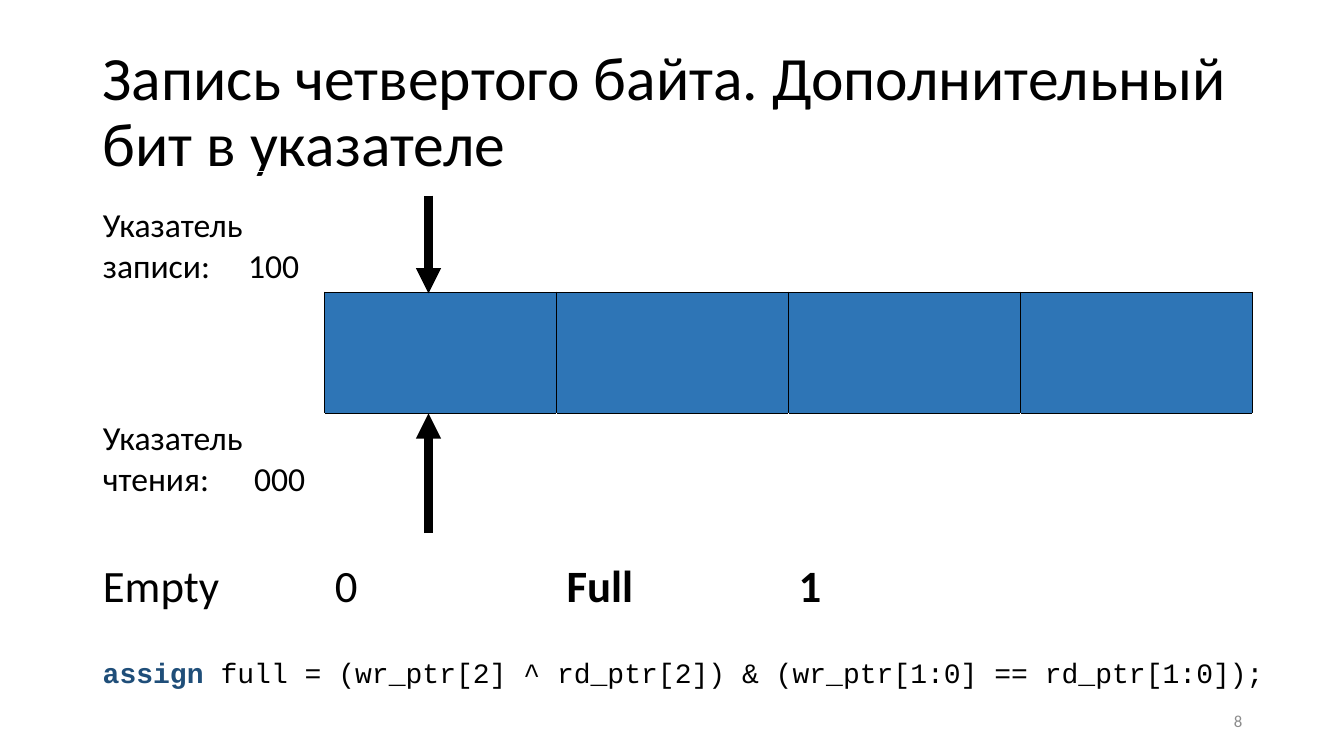
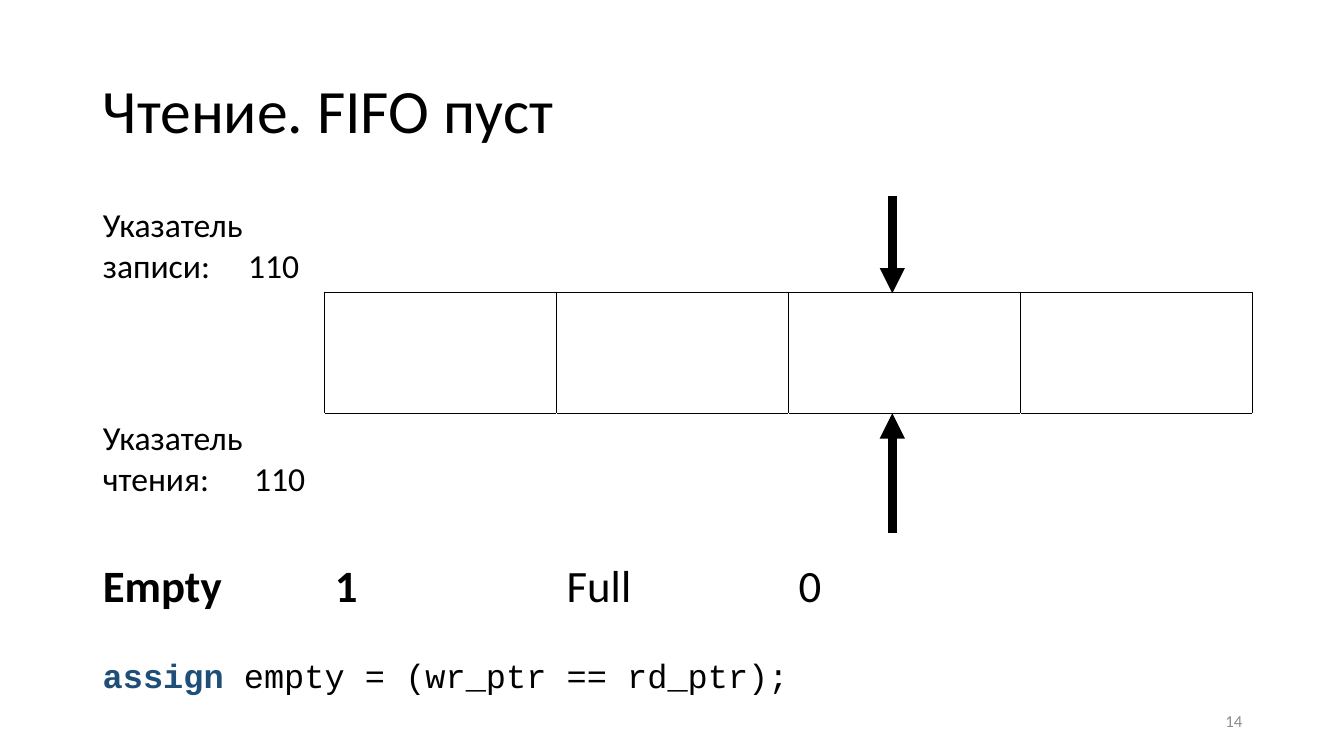
"""Build two slides showing the write and read pointers of a four-byte FIFO."""
import dataclasses

import lxml.etree
import pptx
import pptx.dml.color
import pptx.enum.shapes
import pptx.enum.text
import pptx.oxml.ns
import pptx.presentation
import pptx.shapes.autoshape
import pptx.slide
import pptx.table
import pptx.text.text
import pptx.util

BLACK = pptx.dml.color.RGBColor(0x00, 0x00, 0x00)
WHITE = pptx.dml.color.RGBColor(0xFF, 0xFF, 0xFF)
BYTE_BLUE = pptx.dml.color.RGBColor(0x2E, 0x75, 0xB6)
KEYWORD_BLUE = pptx.dml.color.RGBColor(0x1F, 0x4E, 0x79)
NUMBER_GRAY = pptx.dml.color.RGBColor(0x8C, 0x8C, 0x8C)
BODY_FONT = "Calibri"
CODE_FONT = "Courier New"

EMU_PER_PX = 9144
LEFT, TABLE_TOP, WIDTH = 92, 170, 1150
COLUMNS = 5
COLUMN_WIDTH = WIDTH // COLUMNS
ROW_HEIGHTS = (120, 120, 139, 120)
BYTE_ROW = 1
ARROW_OFFSET = 103
WRITE_ARROW = (194, 291)
READ_ARROW = (529, 410)
EDGES = {"a:lnL": (0, -1), "a:lnR": (0, 1), "a:lnT": (-1, 0), "a:lnB": (1, 0)}

TOP = pptx.enum.text.MSO_ANCHOR.TOP
MIDDLE = pptx.enum.text.MSO_ANCHOR.MIDDLE
BOTTOM = pptx.enum.text.MSO_ANCHOR.BOTTOM


@dataclasses.dataclass(frozen=True)
class FifoState:
    """One state of the FIFO and the page that shows it."""

    title: str
    write_pointer: str
    read_pointer: str
    stored: bool
    empty: bool
    full: bool
    code: str
    code_size: int
    number: str


STATES = (
    FifoState(
        "Запись четвертого байта. Дополнительный бит в указателе",
        "100", "000", True, False, True,
        "full = (wr_ptr[2] ^ rd_ptr[2]) & (wr_ptr[1:0] == rd_ptr[1:0]);", 20, "8",
    ),
    FifoState(
        "Чтение. FIFO пуст",
        "110", "110", False, True, False,
        "empty = (wr_ptr == rd_ptr);", 24, "14",
    ),
)


def px(length: int) -> pptx.util.Emu:
    """Turn pixels into EMU."""
    return pptx.util.Emu(length * EMU_PER_PX)


def add_span(
    para: pptx.text.text._Paragraph,
    text: str,
    size: int,
    color: pptx.dml.color.RGBColor = BLACK,
    bold: bool = False,
    font: str = BODY_FONT,
) -> None:
    """Add one formatted run to a paragraph."""
    span = para.add_run()
    span.text = text
    span.font.name = font
    span.font.size = pptx.util.Pt(size)
    span.font.bold = bold
    span.font.color.rgb = color


def add_tab_stop(para: pptx.text.text._Paragraph, position: int) -> None:
    """Give a paragraph one left tab stop."""
    stops = lxml.etree.SubElement(
        para._p.get_or_add_pPr(), pptx.oxml.ns.qn("a:tabLst")
    )
    lxml.etree.SubElement(
        stops, pptx.oxml.ns.qn("a:tab"), pos=str(px(position)), algn="l"
    )


def add_box(
    page: pptx.slide.Slide, left: int, top: int, width: int, height: int
) -> pptx.shapes.autoshape.Shape:
    """Add a wrapping text box."""
    box = page.shapes.add_textbox(px(left), px(top), px(width), px(height))
    box.text_frame.word_wrap = True
    return box


def set_title(page: pptx.slide.Slide, text: str) -> None:
    """Place and format the title placeholder."""
    title = page.shapes.title
    title.left, title.top = px(LEFT), px(40)
    title.width, title.height = px(WIDTH), px(145)
    frame = title.text_frame
    frame.word_wrap = True
    frame.auto_size = pptx.enum.text.MSO_AUTO_SIZE.NONE
    frame.vertical_anchor = MIDDLE
    para = frame.paragraphs[0]
    para.alignment = pptx.enum.text.PP_ALIGN.LEFT
    para.line_spacing = 0.9
    add_span(para, text, 44)


def is_byte(row: int, column: int) -> bool:
    """Tell whether a table position holds a FIFO byte."""
    return row == BYTE_ROW and 1 <= column < COLUMNS


def style_cell(
    cell: pptx.table._Cell, row: int, column: int, stored: bool
) -> None:
    """Outline the byte cells in black and fill those that hold data."""
    properties = cell._tc.get_or_add_tcPr()
    for tag, (down, across) in EDGES.items():
        dark = is_byte(row, column) or is_byte(row + down, column + across)
        edge = lxml.etree.SubElement(
            properties, pptx.oxml.ns.qn(tag), w=str(pptx.util.Pt(1))
        )
        paint = lxml.etree.SubElement(edge, pptx.oxml.ns.qn("a:solidFill"))
        lxml.etree.SubElement(
            paint, pptx.oxml.ns.qn("a:srgbClr"), val=str(BLACK if dark else WHITE)
        )
    if stored and is_byte(row, column):
        cell.fill.solid()
        cell.fill.fore_color.rgb = BYTE_BLUE
    else:
        cell.fill.background()


def add_pointer_label(
    cell: pptx.table._Cell,
    label: str,
    value: str,
    tab: int,
    anchor: pptx.enum.text.MSO_ANCHOR,
) -> None:
    """Write a pointer name and its value into a cell."""
    cell.vertical_anchor = anchor
    para = cell.text_frame.paragraphs[0]
    add_tab_stop(para, tab)
    add_span(para, f"{label}\t{value}", 24)


def add_fifo_table(page: pptx.slide.Slide, state: FifoState) -> None:
    """Draw the memory cells, pointer values and flags."""
    table = page.shapes.add_table(
        len(ROW_HEIGHTS), COLUMNS,
        px(LEFT), px(TABLE_TOP), px(WIDTH), px(sum(ROW_HEIGHTS)),
    ).table
    table.first_row = False
    table.horz_banding = False
    for column in table.columns:
        column.width = px(COLUMN_WIDTH)
    for row_index, height in enumerate(ROW_HEIGHTS):
        table.rows[row_index].height = px(height)
        for column_index in range(COLUMNS):
            cell = table.cell(row_index, column_index)
            style_cell(cell, row_index, column_index, state.stored)

    add_pointer_label(
        table.cell(0, 0), "Указатель записи:", state.write_pointer, 144, BOTTOM
    )
    add_pointer_label(
        table.cell(2, 0), "Указатель чтения:", state.read_pointer, 150, TOP
    )
    flags = (("Empty", state.empty), ("Full", state.full))
    for flag_index, (name, active) in enumerate(flags):
        for offset, text in enumerate((name, str(int(active)))):
            cell = table.cell(3, 2 * flag_index + offset)
            cell.vertical_anchor = BOTTOM
            cell.margin_bottom = px(59)
            add_span(cell.text_frame.paragraphs[0], text, 32, bold=active)


def add_pointer_arrow(
    page: pptx.slide.Slide, pointer: str, start: int, end: int
) -> None:
    """Point at the byte addressed by the two low bits of a pointer."""
    slot = int(pointer[1:], 2)
    center = px(LEFT + COLUMN_WIDTH * (slot + 1) + ARROW_OFFSET)
    arrow = page.shapes.add_connector(
        pptx.enum.shapes.MSO_CONNECTOR.STRAIGHT, center, px(start), center, px(end)
    )
    arrow.line.color.rgb = BLACK
    arrow.line.width = pptx.util.Pt(6)
    lxml.etree.SubElement(
        arrow.line._get_or_add_ln(), pptx.oxml.ns.qn("a:tailEnd"), type="triangle"
    )
    lxml.etree.SubElement(
        arrow._element.spPr, pptx.oxml.ns.qn("a:effectLst")
    )


def add_code(page: pptx.slide.Slide, state: FifoState) -> None:
    """Write the flag assignment under the table."""
    box = add_box(page, LEFT, 645, 1189, 45)
    para = box.text_frame.paragraphs[0]
    add_span(para, "assign ", state.code_size, KEYWORD_BLUE, True, CODE_FONT)
    add_span(para, state.code, state.code_size, font=CODE_FONT)


def add_page_number(page: pptx.slide.Slide, number: str) -> None:
    """Write the page number in the lower right corner."""
    box = add_box(page, 942, 695, 300, 40)
    box.text_frame.vertical_anchor = MIDDLE
    para = box.text_frame.paragraphs[0]
    para.alignment = pptx.enum.text.PP_ALIGN.RIGHT
    add_span(para, number, 12, NUMBER_GRAY)


def add_page(deck: pptx.presentation.Presentation, state: FifoState) -> None:
    """Add the page for one FIFO state."""
    page = deck.slides.add_slide(deck.slide_layouts.get_by_name("Title Only"))
    set_title(page, state.title)
    add_fifo_table(page, state)
    add_pointer_arrow(page, state.write_pointer, *WRITE_ARROW)
    add_pointer_arrow(page, state.read_pointer, *READ_ARROW)
    add_code(page, state)
    add_page_number(page, state.number)


def main() -> None:
    """Build and save the deck."""
    deck = pptx.Presentation()
    deck.slide_width, deck.slide_height = px(1333), px(750)
    for state in STATES:
        add_page(deck, state)
    deck.save("out.pptx")


if __name__ == "__main__":
    main()
